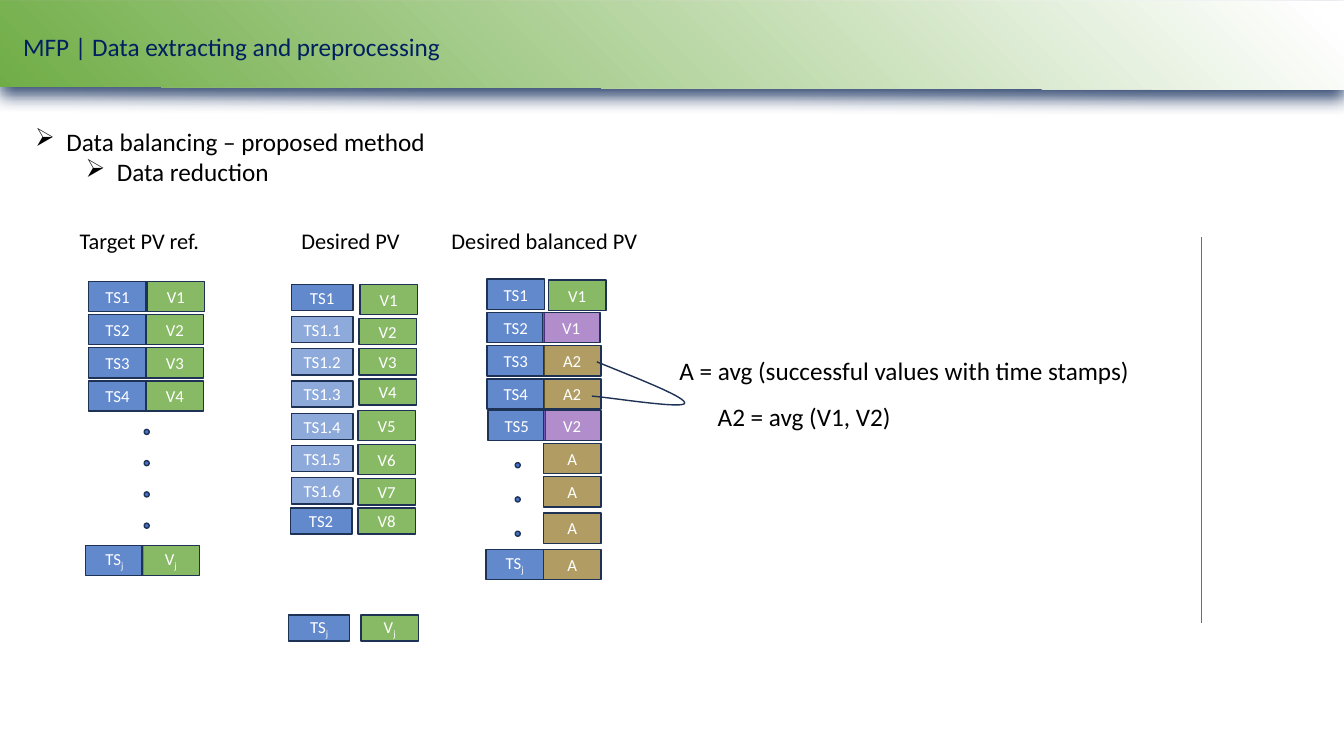
from lxml.etree import SubElement
from pptx import Presentation
from pptx.dml.color import RGBColor
from pptx.enum.shapes import MSO_CONNECTOR, MSO_SHAPE
from pptx.enum.text import MSO_ANCHOR, MSO_AUTO_SIZE, PP_ALIGN
from pptx.oxml import parse_xml
from pptx.oxml.ns import nsdecls, qn
from pptx.util import Inches, Pt

OUTLINE = "1E3256"
BLUE = "4472C4"

# shade name: (colour, opacity in percent)
SHADES = {
    "stamp": (BLUE, 83),
    "substamp": (BLUE, 60),
    "value": ("70AD47", 83),
    "repeated": ("7030A0", 54),
    "average": ("806000", 61),
}

# left, top, width, height, row pitch, shade, labels ("_" starts a subscript)
CELL_RUNS = [
    # Target PV ref.
    (0.88, 2.79, 0.57, 0.3, 0.33, "stamp", ["TS1", "TS2", "TS3", "TS4"]),
    (1.46, 2.79, 0.57, 0.3, 0, "value", ["V1"]),
    (1.45, 3.12, 0.57, 0.3, 0.33, "value", ["V2", "V3", "V4"]),
    (0.85, 5.41, 0.57, 0.3, 0, "stamp", ["TS_j"]),
    (1.41, 5.41, 0.57, 0.3, 0, "value", ["V_j"]),
    # Desired PV
    (2.89, 2.82, 0.61, 0.26, 0, "stamp", ["TS1"]),
    (2.89, 3.14, 0.61, 0.26, 0.32, "substamp",
     ["TS1.1", "TS1.2", "TS1.3", "TS1.4", "TS1.5", "TS1.6"]),
    (2.88, 5.04, 0.61, 0.26, 0, "stamp", ["TS2"]),
    (2.86, 6.1, 0.61, 0.26, 0, "stamp", ["TS_j"]),
    (3.57, 2.82, 0.57, 0.3, 0, "value", ["V1"]),
    (3.56, 3.16, 0.57, 0.26, 0.3, "value", ["V2", "V3", "V4"]),
    (3.55, 4.07, 0.57, 0.3, 0.34, "value", ["V5", "V6"]),
    (3.55, 4.75, 0.57, 0.26, 0.29, "value", ["V7", "V8"]),
    (3.58, 6.1, 0.57, 0.26, 0, "value", ["V_j"]),
    # Desired balanced PV
    (4.83, 2.77, 0.57, 0.3, 0.33, "stamp", ["TS1", "TS2", "TS3", "TS4"]),
    (4.84, 4.07, 0.57, 0.3, 0, "stamp", ["TS5"]),
    (4.82, 5.45, 0.57, 0.3, 0, "stamp", ["TS_j"]),
    (5.44, 2.78, 0.57, 0.3, 0, "value", ["V1"]),
    (5.38, 3.1, 0.57, 0.3, 0, "repeated", ["V1"]),
    (5.39, 3.43, 0.57, 0.3, 0.33, "average", ["A2", "A2"]),
    (5.39, 4.07, 0.57, 0.3, 0, "repeated", ["V2"]),
    (5.39, 4.4, 0.57, 0.3, 0.33, "average", ["A", "A"]),
    (5.39, 5.09, 0.57, 0.3, 0.36, "average", ["A", "A"]),
]

# left, first top, pitch, count
DOT_RUNS = [(1.43, 4.26, 0.31, 4), (5.11, 4.59, 0.34, 3)]
DOT_SIZE = 0.05

# left, top, width, height, wraps, size, colour, lines of (text, level or None)
TEXTS = [
    (0.13, 0.26, 10.99, 0.4, True, 18, "002060",
     [("MFP | Data extracting and preprocessing", None)]),
    (0.25, 1.2, 12.41, 0.71, True, 18, "000000",
     [("Data balancing – proposed method", 0), ("Data reduction", 1)]),
    (0.69, 2.2, 1.41, 0.37, False, 16, "000000", [("Target PV ref.", None)]),
    (2.89, 2.2, 1.19, 0.37, False, 16, "000000", [("Desired PV", None)]),
    (4.38, 2.2, 2.06, 0.37, False, 16, "000000", [("Desired balanced PV", None)]),
    (6.64, 3.48, 4.77, 0.4, False, 18, "000000",
     [("A = avg (successful values with time stamps)", None)]),
    (7.02, 3.93, 1.94, 0.4, False, 18, "000000", [("A2 = avg (V1, V2)", None)]),
]

HEADER_CORNERS = [(0, 0.01), (13.33, 0.01), (13.34, 0.89), (0, 0.86)]
# Two cubic curves that tie both A2 cells to the formula
LOOP_CURVES = [
    [(5.92, 3.59), (6.36, 3.77), (6.8, 3.94), (6.79, 4)],
    [(6.79, 4), (6.78, 4.06), (6.1, 3.95), (5.87, 3.93)],
]
CURVE_STEPS = 20
DIVIDER = (11.92, 2.35, 11.92, 6.18)


def rgb(code):
    return RGBColor.from_string(code)


def style_line(shape, color=OUTLINE, width=1):
    shape.line.color.rgb = rgb(color)
    shape.line.width = Pt(width)


def style_font(font, size, color):
    for name, value in {"name": "Calibri", "size": Pt(size)}.items():
        setattr(font, name, value)
    font.color.rgb = rgb(color)


def add_box(page, kind, left, top, width, height, color):
    box = page.shapes.add_shape(kind, *map(Inches, (left, top, width, height)))
    box.shadow.inherit = False
    box.fill.solid()
    box.fill.fore_color.rgb = rgb(color)
    style_line(box)
    return box


def add_cell(page, left, top, width, height, shade, label):
    color, opacity = SHADES[shade]
    box = add_box(page, MSO_SHAPE.RECTANGLE, left, top, width, height, color)
    tint = box.fill._xPr.find(qn("a:solidFill"))[0]
    SubElement(tint, qn("a:alpha"), val=str(opacity * 1000))
    box.text_frame.vertical_anchor = MSO_ANCHOR.MIDDLE
    para = box.text_frame.paragraphs[0]
    para.alignment = PP_ALIGN.CENTER
    for index, part in enumerate(label.split("_")):
        span = para.add_run()
        span.text = part
        style_font(span.font, 12, "FFFFFF")
        if index:
            span._r.get_or_add_rPr().set("baseline", "-25000")


def add_text(page, left, top, width, height, wraps, size, color, lines):
    box = page.shapes.add_textbox(*map(Inches, (left, top, width, height)))
    frame = box.text_frame
    frame.word_wrap = wraps
    frame.auto_size = MSO_AUTO_SIZE.SHAPE_TO_FIT_TEXT
    for index, (words, level) in enumerate(lines):
        para = frame.add_paragraph() if index else frame.paragraphs[0]
        if level is not None:
            para.level = level
            properties = para._p.get_or_add_pPr()
            properties.set("marL", str(Inches(0.31 + 0.5 * level)))
            properties.set("indent", str(Inches(-0.31)))
            SubElement(properties, qn("a:buChar"), char="➢")
        span = para.add_run()
        span.text = words
        style_font(span.font, size, color)


def add_outline(page, points, close):
    start, *rest = [tuple(map(Inches, point)) for point in points]
    builder = page.shapes.build_freeform(*start)
    builder.add_line_segments(rest, close=close)
    outline = builder.convert_to_shape()
    outline.shadow.inherit = False
    return outline


def add_header(page):
    header = add_outline(page, HEADER_CORNERS, True)
    header.line.fill.background()
    stops = "".join(f'<a:gs pos="{position}000"><a:srgbClr val="{color}"/></a:gs>'
                    for position, color in [(0, "70AD47"), (98, "FFFFFF"), (100, "FFFFFF")])
    properties = header._element.spPr
    properties.find(qn("a:custGeom")).addnext(parse_xml(
        f'<a:gradFill {nsdecls("a")} rotWithShape="1"><a:gsLst>{stops}</a:gsLst>'
        '<a:path path="circle"><a:fillToRect t="100000" r="100000"/></a:path></a:gradFill>'))
    shadow = SubElement(properties.find(qn("a:effectLst")), qn("a:outerShdw"),
                        blurRad=str(Pt(12)), dist=str(Pt(6)), dir="5400000",
                        algn="ctr", rotWithShape="0")
    tint = SubElement(shadow, qn("a:srgbClr"), val="1F3864")
    SubElement(tint, qn("a:alpha"), val="90000")


def curve_point(curve, t):
    """Point of a cubic Bezier curve at t between 0 and 1."""
    weights = ((1 - t) ** 3, 3 * t * (1 - t) ** 2, 3 * t ** 2 * (1 - t), t ** 3)
    return tuple(sum(w * point[axis] for w, point in zip(weights, curve)) for axis in (0, 1))


def main():
    deck = Presentation()
    deck.slide_width, deck.slide_height = Inches(13.33), Inches(7.5)
    page = deck.slides.add_slide(deck.slide_layouts[6])
    add_header(page)
    for text in TEXTS:
        add_text(page, *text)
    for left, top, width, height, pitch, shade, labels in CELL_RUNS:
        for row, label in enumerate(labels):
            add_cell(page, left, top + row * pitch, width, height, shade, label)
    for left, top, pitch, count in DOT_RUNS:
        for row in range(count):
            add_box(page, MSO_SHAPE.OVAL, left, top + row * pitch, DOT_SIZE, DOT_SIZE, BLUE)
    loop = add_outline(page, [curve_point(curve, step / CURVE_STEPS) for curve in LOOP_CURVES
                              for step in range(CURVE_STEPS + 1)], False)
    loop.fill.background()
    style_line(loop)
    divider = page.shapes.add_connector(MSO_CONNECTOR.STRAIGHT, *map(Inches, DIVIDER))
    style_line(divider, BLUE, 0.5)
    SubElement(divider._element.spPr, qn("a:effectLst"))
    deck.save("out.pptx")


if __name__ == "__main__":
    main()
